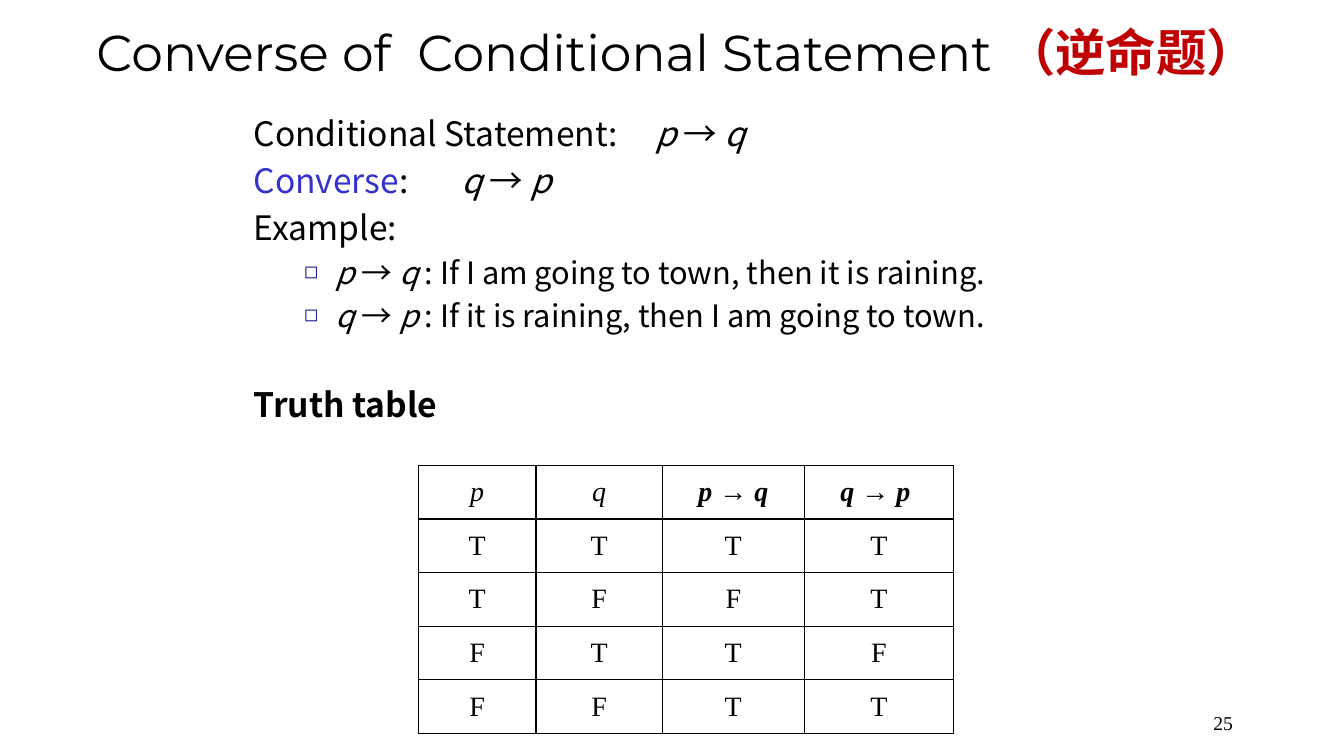
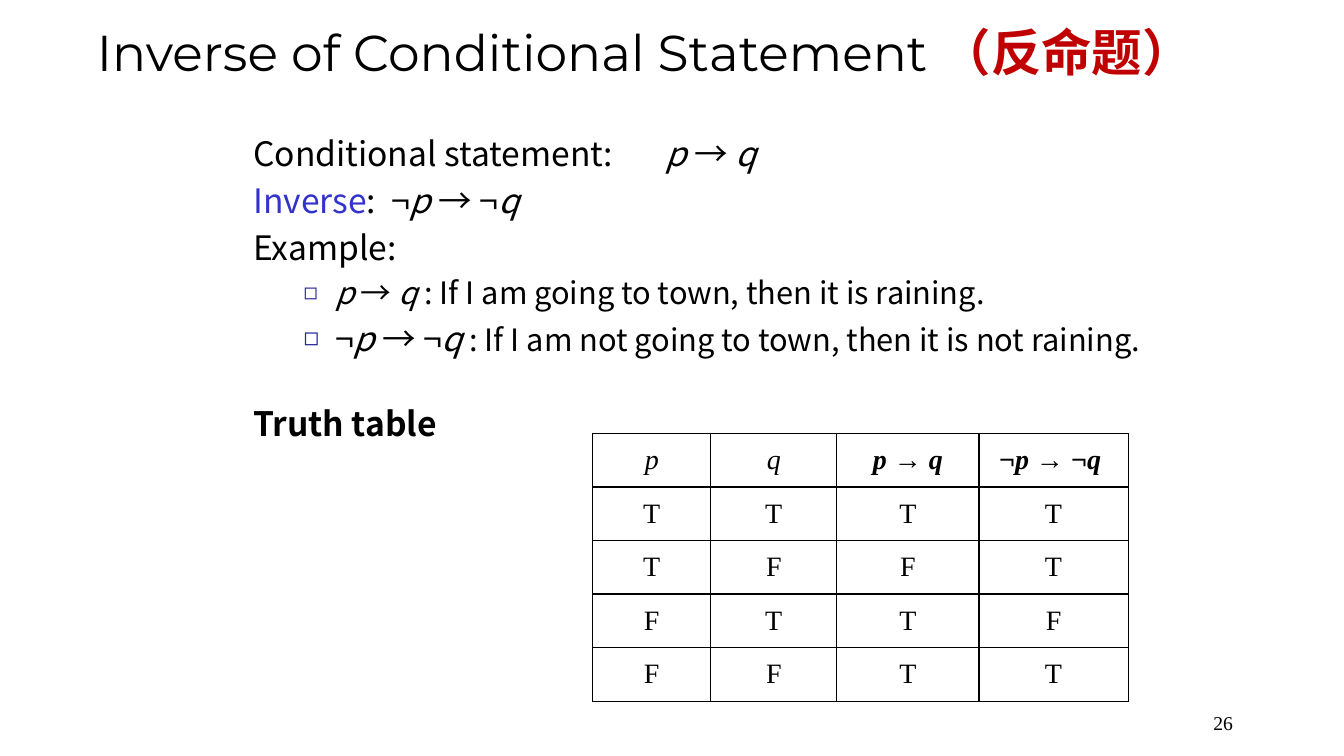
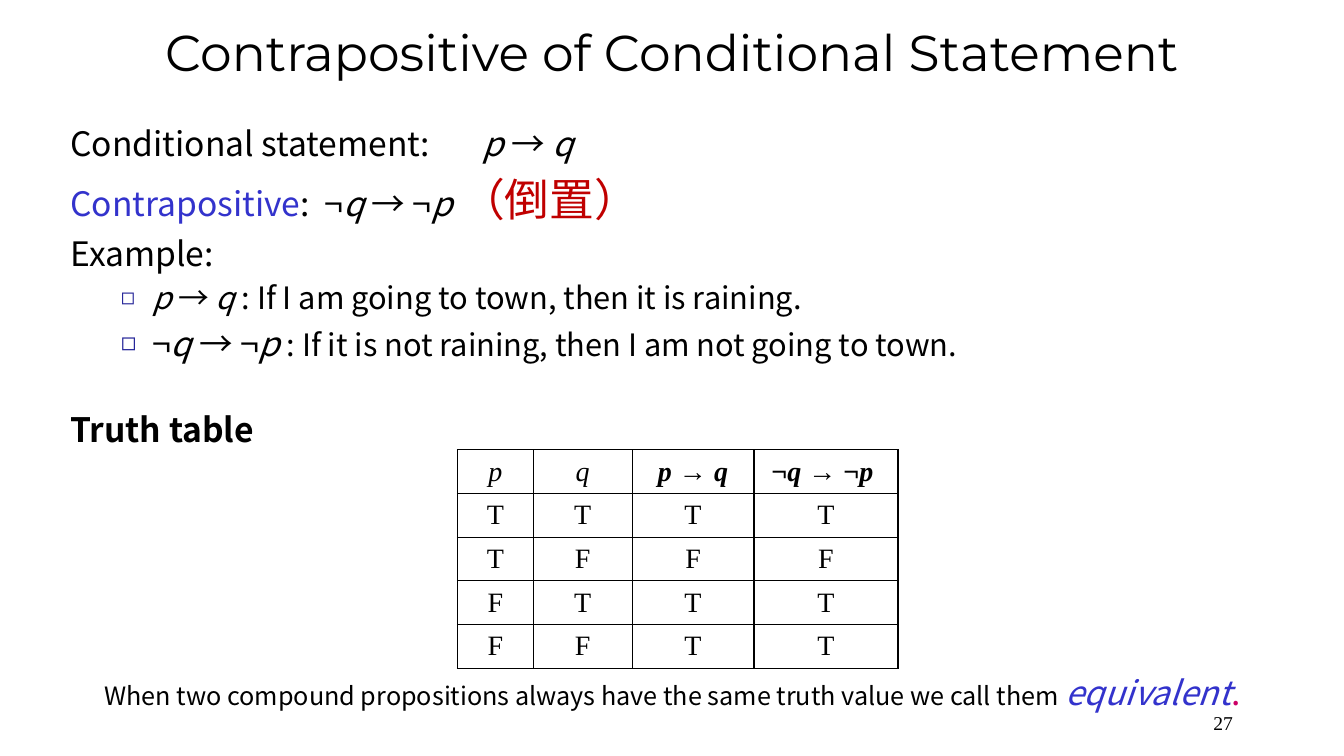
"""Build three slides on the converse, inverse and contrapositive of a conditional."""
from itertools import groupby

from lxml.etree import SubElement
from pptx import Presentation
from pptx.dml.color import RGBColor
from pptx.enum.text import MSO_ANCHOR as Anchor, MSO_AUTO_SIZE as AutoSize, PP_ALIGN as Align
from pptx.oxml.ns import qn
from pptx.util import Cm, Pt

BLACK, WHITE, RED, BLUE = "000000", "FFFFFF", "C00000", "3333CC"
BULLET, MAGENTA = "262699", "CC0066"
TITLE_FONT, BODY_FONT, TABLE_FONT = "Montserrat", "Noto Sans CJK SC", "Times New Roman"
P_COLUMN, Q_COLUMN, CONDITIONAL_COLUMN = "TTFF", "TFTF", "TFTT"
CONDITIONAL = "p → q"
GAP_RATIO = 0.2


def color(hex_code):
    """Turn a hex string into a colour."""
    return RGBColor.from_string(hex_code)


def add_text(paragraph, text, size=24, font=BODY_FONT, fill=BLACK, bold=False, italic=False, spacing=0):
    """Append one formatted run to a paragraph, with letter spacing in points."""
    run = paragraph.add_run()
    run.text = text
    run.font.size, run.font.bold, run.font.italic = Pt(size), bold, italic
    run.font.fill.solid()
    run.font.fill.fore_color.rgb = color(fill)
    run.font.name = font
    properties = run._r.get_or_add_rPr()
    SubElement(properties, qn("a:ea"), typeface=font)
    if spacing:
        properties.set("spc", str(round(spacing * 100)))


def add_formula(paragraph, formula, **text_format):
    """Append a logical formula with its variables in italics."""
    for is_variable, characters in groupby(formula, key=lambda character: character in "pq"):
        add_text(paragraph, "".join(characters), italic=is_variable, **text_format)


def place(shape, left, top, width, height):
    """Move a shape to a box given in centimetres."""
    shape.left, shape.top, shape.width, shape.height = map(Cm, (left, top, width, height))


def add_paragraph(frame, gap=24 * GAP_RATIO, indent=0, bullet=False):
    """Start a body paragraph with its gap above, indent and bullet."""
    first = not frame.paragraphs[0].runs
    paragraph = frame.paragraphs[0] if first else frame.add_paragraph()
    paragraph.line_spacing = 1.0
    paragraph.space_before = Pt(0 if first else gap)
    paragraph.level = int(bullet)
    properties = paragraph._p.get_or_add_pPr()
    properties.set("marL", str(Cm(2.06 if bullet else indent)))
    properties.set("indent", str(Cm(-0.79 if bullet else 0)))
    if bullet:
        SubElement(SubElement(properties, qn("a:buClr")), qn("a:srgbClr"), val=BULLET)
        SubElement(properties, qn("a:buSzPct"), val="75000")
        SubElement(properties, qn("a:buChar"), char="◻")
    else:
        SubElement(properties, qn("a:buNone"))
    return paragraph


def fill_title(slide, left, width, term, chinese=None, gap=0):
    """Fill the title placeholder, with an optional Chinese term in red."""
    shape = slide.shapes.title
    place(shape, left, 0.3, width, 2.01)
    shape.text_frame.auto_size = AutoSize.NONE
    shape.text_frame.vertical_anchor = Anchor.MIDDLE
    paragraph = shape.text_frame.paragraphs[0]
    paragraph.alignment = Align.CENTER
    title_format = {"size": 36, "font": TITLE_FONT}
    add_text(paragraph, term + " of", **title_format)
    add_text(paragraph, " ", spacing=gap, **title_format)
    add_text(paragraph, "Conditional Statement", **title_format)
    if chinese:
        add_text(paragraph, " ", **title_format)
        add_text(paragraph, chinese, size=36, fill=RED, bold=True)


def fill_body(slide, box, label, term, formula, sentence, gaps, table_gap, formula_size=24, chinese=None):
    """Fill the body placeholder with definition, example and table heading."""
    shape = slide.placeholders[1]
    place(shape, *box)
    frame = shape.text_frame
    frame.auto_size = AutoSize.NONE
    paragraph = add_paragraph(frame)
    add_text(paragraph, label + ":")
    add_text(paragraph, " ", spacing=gaps[0])
    add_formula(paragraph, CONDITIONAL)
    paragraph = add_paragraph(frame, gap=(32 if chinese else 24) * GAP_RATIO)
    add_text(paragraph, term, fill=BLUE)
    add_text(paragraph, ":")
    add_text(paragraph, " ", spacing=gaps[1])
    add_formula(paragraph, formula)
    if chinese:
        add_text(paragraph, " ")
        add_text(paragraph, chinese, size=32, fill=RED)
    add_text(add_paragraph(frame), "Example:")
    examples = ((CONDITIONAL, 22, "If I am going to town, then it is raining."),
                (formula, formula_size, sentence))
    for statement, size, meaning in examples:
        paragraph = add_paragraph(frame, gap=size * GAP_RATIO, bullet=True)
        add_formula(paragraph, statement, size=size)
        add_text(paragraph, " : " + meaning, size=22)
    add_text(add_paragraph(frame, gap=table_gap), "Truth table", bold=True)
    return frame


def add_conclusion(frame):
    """Close the body with the definition of equivalence."""
    paragraph = add_paragraph(frame, gap=159, indent=0.86)
    add_text(paragraph, "When two compound propositions always have the same truth value we call them ", size=18)
    add_text(paragraph, "equivalent", fill=BLUE, italic=True)
    add_text(paragraph, ".", fill=MAGENTA)


def format_cell(cell):
    """Give a table cell a white fill, black borders and centred text."""
    cell.fill.solid()
    cell.fill.fore_color.rgb = color(WHITE)
    cell.vertical_anchor = Anchor.MIDDLE
    cell.text_frame.paragraphs[0].alignment = Align.CENTER
    properties = cell._tc.get_or_add_tcPr()
    for position, side in enumerate(("a:lnL", "a:lnR", "a:lnT", "a:lnB")):
        line = SubElement(properties, qn(side), w=str(Pt(1)))
        SubElement(SubElement(line, qn("a:solidFill")), qn("a:srgbClr"), val=BLACK)
        properties.insert(position, line)


def add_truth_table(slide, left, top, formula, results, widths=(2.97, 3.18, 3.58, 3.76), row_height=1.35):
    """Add the truth table of the conditional and a related formula."""
    columns = (("p", P_COLUMN), ("q", Q_COLUMN), (CONDITIONAL, CONDITIONAL_COLUMN), (formula + " ", results))
    row_count = len(results) + 1
    frame = slide.shapes.add_table(row_count, len(columns), Cm(left), Cm(top),
                                   Cm(sum(widths)), Cm(row_height * row_count))
    table = frame.table
    for row in table.rows:
        row.height = Cm(row_height)
    for column, (heading, values) in enumerate(columns):
        table.columns[column].width = Cm(widths[column])
        for row, text in enumerate((heading, *values)):
            cell = table.cell(row, column)
            format_cell(cell)
            add_formula(cell.text_frame.paragraphs[0], text, size=20, font=TABLE_FONT,
                        bold=row == 0 and len(heading) > 1)


def add_page_number(slide, number):
    """Add the page number at the lower right."""
    frame = slide.shapes.add_textbox(Cm(25.96), Cm(17.78), Cm(5.36), Cm(0.84)).text_frame
    frame.word_wrap = True
    paragraph = frame.paragraphs[0]
    paragraph.alignment = Align.RIGHT
    add_text(paragraph, str(number), size=14, font=TABLE_FONT)


def add_slide(presentation, number):
    """Add a title and content slide with its page number."""
    slide = presentation.slides.add_slide(presentation.slide_layouts[1])
    add_page_number(slide, number)
    return slide


def build_converse(presentation):
    """Build the slide on the converse."""
    slide = add_slide(presentation, 25)
    fill_title(slide, 1.22, 31.67, "Converse", "（逆命题）", gap=9.6)
    fill_body(slide, (6.14, 2.72, 21.59, 8.28), "Conditional Statement", "Converse", "q → p",
              "If it is raining, then I am going to town.", (21.5, 32.3), 36.2, formula_size=22)
    add_truth_table(slide, 10.54, 11.73, "q → p", "TTFT")


def build_inverse(presentation):
    """Build the slide on the inverse."""
    slide = add_slide(presentation, 26)
    fill_title(slide, 1.19, 30.12, "Inverse", "（反命题）")
    fill_body(slide, (6.13, 3.23, 25.6, 14.22), "Conditional statement", "Inverse", "¬p → ¬q",
              "If I am not going to town, then it is not raining.", (32.3, 5.4), 32.4)
    add_truth_table(slide, 14.94, 10.92, "¬p → ¬q", "TTFT")


def build_contrapositive(presentation):
    """Build the slide on the contrapositive."""
    slide = add_slide(presentation, 27)
    fill_title(slide, 2.54, 28.78, "Contrapositive")
    frame = fill_body(slide, (1.52, 2.97, 32, 15.82), "Conditional statement", "Contrapositive", "¬q → ¬p",
                      "If it is not raining, then I am not going to town.", (32.3, 5.4), 32.4,
                      chinese="（倒置）")
    add_conclusion(frame)
    add_truth_table(slide, 11.53, 11.33, "¬q → ¬p", "TFTT", widths=(1.91, 2.49, 3.07, 3.63), row_height=1.1)


def main():
    """Build and save the presentation."""
    presentation = Presentation()
    presentation.slide_width, presentation.slide_height = Cm(33.87), Cm(19.05)
    for build in (build_converse, build_inverse, build_contrapositive):
        build(presentation)
    presentation.save("out.pptx")


if __name__ == "__main__":
    main()
